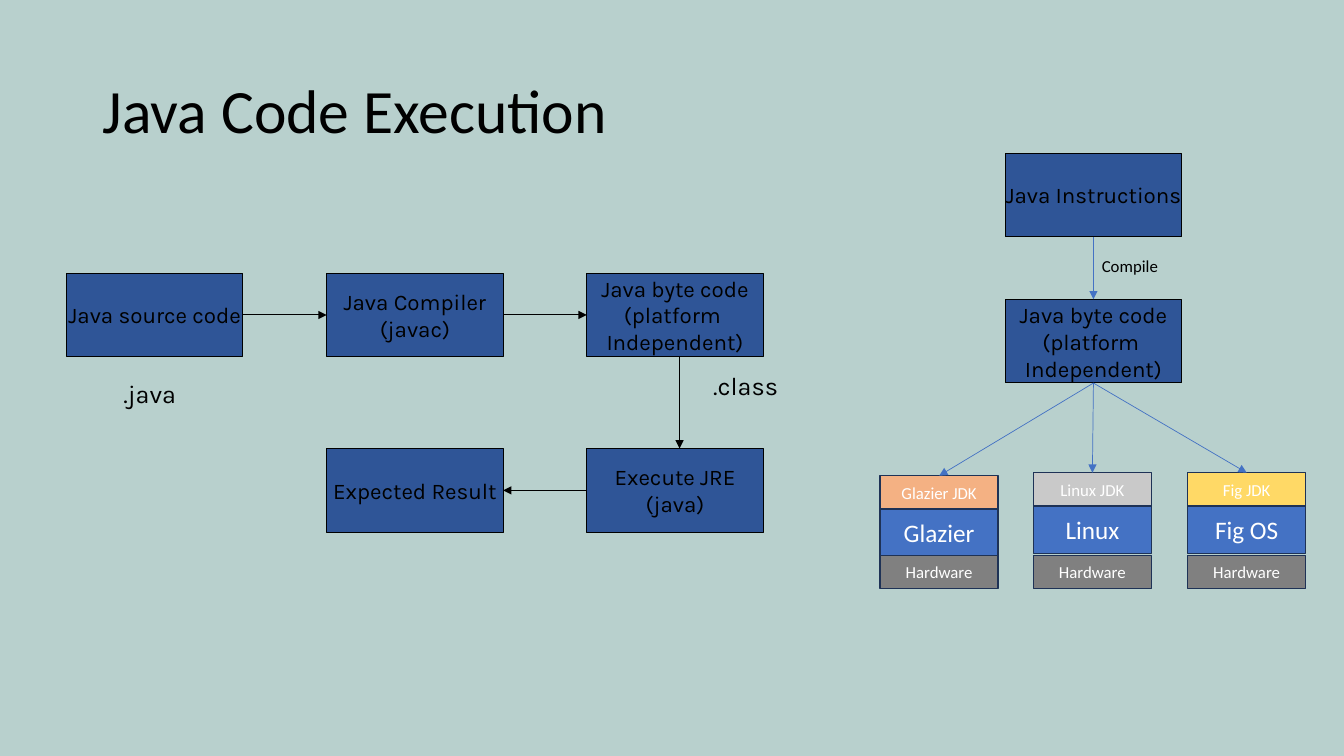
import pptx
import pptx.util
import pptx.dml.color
import pptx.enum.shapes
import pptx.enum.text
import pptx.oxml
import pptx.oxml.ns

Inches = pptx.util.Inches
Pt = pptx.util.Pt
ALIGN = pptx.enum.text.PP_ALIGN
ANCHOR = pptx.enum.text.MSO_ANCHOR
FIT = pptx.enum.text.MSO_AUTO_SIZE
TOP, LEFT, BOTTOM, RIGHT = range(4)

COLORS = {
    "background": "B8D0CD",
    "step": "2F5597",
    "ink": "000000",
    "system": "4472C4",
    "edge": "1E3256",
    "hardware": "808080",
    "orange": "F4B183",
    "gray": "C9C9C9",
    "yellow": "FFD966",
    "white": "FFFFFF",
}
STEP_SIZE = (1.75, 0.83)
STACK_WIDTH = 1.17
BYTE_CODE = "Java byte code\n(platform \nIndependent)"


def color(name):
    return pptx.dml.color.RGBColor.from_string(COLORS[name])


def write(frame, text, font, size, ink, align, **layout):
    for attribute, value in layout.items():
        setattr(frame, attribute, value)
    frame.text = text
    for paragraph in frame.paragraphs:
        paragraph.alignment = align
        for attribute, value in {"name": font, "size": Pt(size)}.items():
            setattr(paragraph.font, attribute, value)
        paragraph.font.color.rgb = color(ink)


def add_box(slide, place, fill, edge, edge_width):
    box = slide.shapes.add_shape(
        pptx.enum.shapes.MSO_SHAPE.RECTANGLE, *map(Inches, place))
    box.shadow.inherit = False
    box.fill.solid()
    box.fill.fore_color.rgb = color(fill)
    box.line.color.rgb = color(edge)
    box.line.width = Pt(edge_width)
    return box


def add_step(slide, left, top, text):
    step = add_box(slide, (left, top, *STEP_SIZE), "step", "ink", 0.75)
    write(step.text_frame, text, "Karla", 16, "ink", ALIGN.CENTER,
          word_wrap=False, vertical_anchor=ANCHOR.MIDDLE)
    return step


def add_layer(slide, left, top, height, text, fill, size):
    layer = add_box(slide, (left, top, STACK_WIDTH, height), fill, "edge", 1)
    write(layer.text_frame, text, "Calibri", size, "white", ALIGN.CENTER,
          word_wrap=True, vertical_anchor=ANCHOR.MIDDLE)
    return layer


def add_stack(slide, left, top, system, kit, kit_fill):
    add_layer(slide, left, top + 0.33, 0.47, system, "system", 18)
    kit_layer = add_layer(slide, left, top, 0.33, kit, kit_fill, 12)
    add_layer(slide, left, 5.51, 0.33, "Hardware", "hardware", 12)
    return kit_layer


def add_label(slide, place, text, font, size, align):
    label = slide.shapes.add_textbox(*map(Inches, place))
    write(label.text_frame, text, font, size, "ink", align,
          word_wrap=True, auto_size=FIT.SHAPE_TO_FIT_TEXT)


def add_arrow(slide, ink, width, start=(0, 0), end=(0, 0)):
    arrow = slide.shapes.add_connector(
        pptx.enum.shapes.MSO_CONNECTOR.STRAIGHT, *map(Inches, start + end))
    arrow.line.color.rgb = color(ink)
    arrow.line.width = Pt(width)
    head = pptx.oxml.parse_xml(
        f'<a:tailEnd {pptx.oxml.ns.nsdecls("a")} type="triangle"/>')
    arrow.line._get_or_add_ln().append(head)
    properties = arrow._element.spPr
    properties.append(pptx.oxml.parse_xml(
        f'<a:effectLst {pptx.oxml.ns.nsdecls("a")}/>'))
    return arrow


def join(slide, source, source_side, target, target_side, ink, width):
    arrow = add_arrow(slide, ink, width)
    arrow.begin_connect(source, source_side)
    arrow.end_connect(target, target_side)


def add_title(slide, text):
    title = slide.shapes.title
    place = {"left": 0.92, "top": 0.4, "width": 11.5, "height": 1.45}
    for attribute, value in place.items():
        setattr(title, attribute, Inches(value))
    write(title.text_frame, text, "Calibri", 44, "ink", ALIGN.LEFT,
          word_wrap=True, auto_size=FIT.NONE, vertical_anchor=ANCHOR.MIDDLE)
    title.text_frame.paragraphs[0].line_spacing = 0.9


def add_execution_flow(slide):
    source = add_step(slide, 0.66, 2.71, "Java source code")
    compiler = add_step(slide, 3.24, 2.71, "Java Compiler\n(javac)")
    byte_code = add_step(slide, 5.82, 2.71, BYTE_CODE)
    runtime = add_step(slide, 5.82, 4.45, "Execute JRE\n(java)")
    result = add_step(slide, 3.24, 4.45, "Expected Result")
    for origin, side, target, target_side in (
            (source, RIGHT, compiler, LEFT),
            (compiler, RIGHT, byte_code, LEFT),
            (runtime, LEFT, result, RIGHT)):
        join(slide, origin, side, target, target_side, "ink", 0.75)
    add_arrow(slide, "ink", 0.75, (6.74, 3.54), (6.74, 4.45))
    add_label(slide, (0.91, 3.7, 1.15, 0.4), ".java", "Karla", 18, ALIGN.CENTER)
    add_label(slide, (6.82, 3.62, 1.15, 0.4), ".class", "Karla", 18, ALIGN.CENTER)


def add_platforms(slide):
    instructions = add_step(slide, 9.97, 1.52, "Java Instructions")
    kits = [add_stack(slide, *stack) for stack in (
        (8.73, 4.72, "Glazier", "Glazier JDK", "orange"),
        (10.25, 4.69, "Linux", "Linux JDK", "gray"),
        (11.78, 4.69, "Fig OS", "Fig JDK", "yellow"))]
    byte_code = add_step(slide, 9.97, 2.97, BYTE_CODE)
    join(slide, instructions, BOTTOM, byte_code, TOP, "system", 0.5)
    for kit in kits:
        join(slide, byte_code, BOTTOM, kit, TOP, "system", 0.5)
    add_label(slide, (10.83, 2.49, 0.84, 0.3), "Compile", "Calibri", 12, ALIGN.LEFT)


def main():
    deck = pptx.Presentation()
    deck.slide_width = Inches(13.33)
    deck.slide_height = Inches(7.5)
    slide = deck.slides.add_slide(deck.slide_layouts[5])
    slide.background.fill.solid()
    slide.background.fill.fore_color.rgb = color("background")
    add_title(slide, "Java Code Execution")
    add_execution_flow(slide)
    add_platforms(slide)
    deck.save("out.pptx")


if __name__ == "__main__":
    main()
